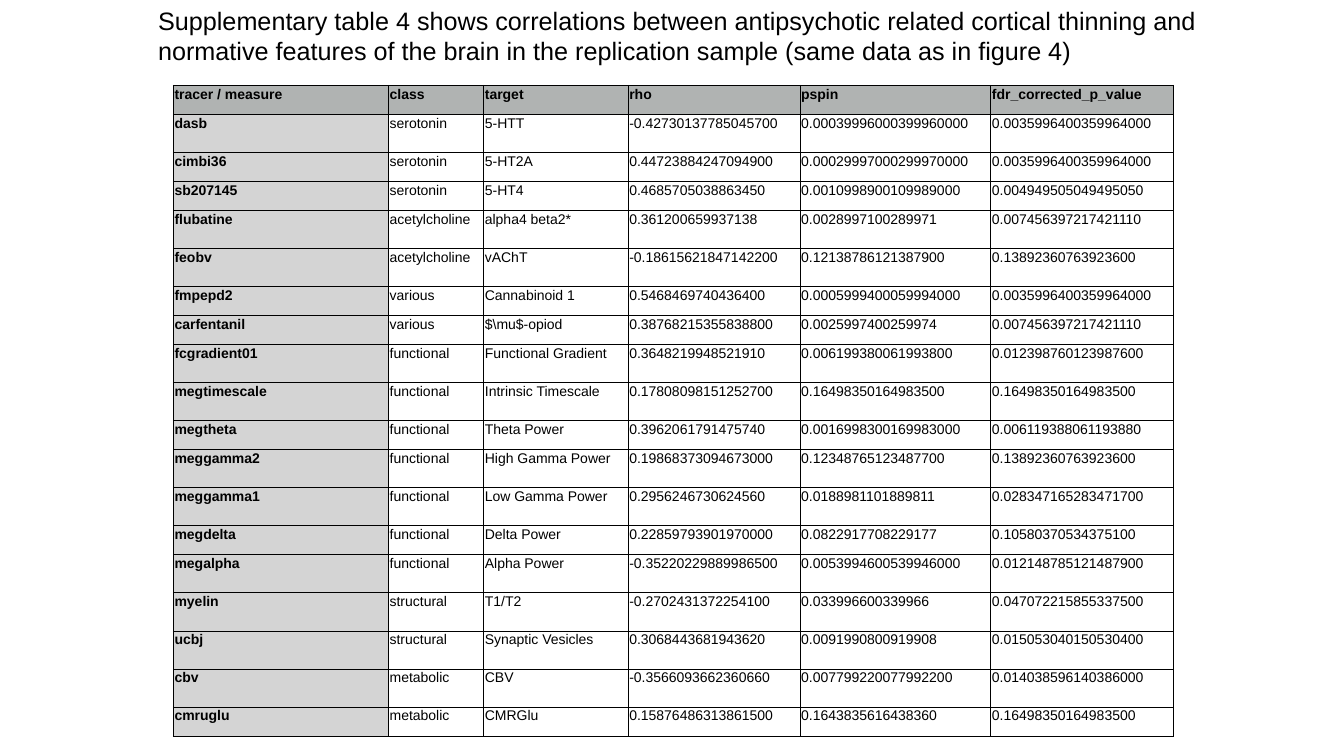
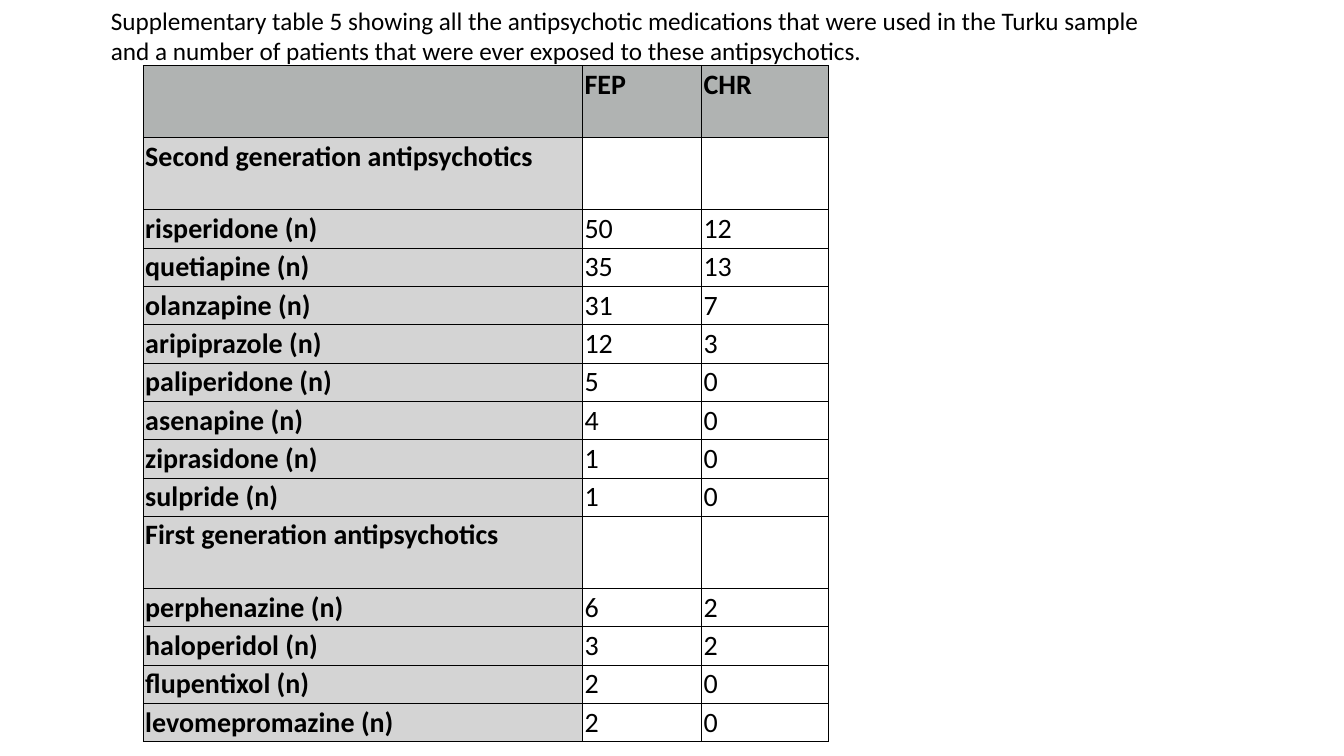
from dataclasses import dataclass

import pptx
import pptx.dml.color
import pptx.enum.text
import pptx.oxml
import pptx.oxml.ns
import pptx.util
from pptx.util import Cm

COLOURS = {"ink": "000000", "header": "B0B3B2", "label": "D4D4D4"}
TITLE_SIZE = 18
TITLE_HEIGHT = 1.8
BORDER_WIDTH = 0.75


@dataclass(frozen=True)
class TablePage:
    """One slide: a title above a table; lengths in centimetres, sizes in points."""
    title: str
    title_left: float
    title_width: float
    font: str
    text_size: float
    left: float
    top: float
    margin: float
    columns: tuple[float, ...]
    short_row: float
    tall_row: float
    tall_rows: frozenset[int]
    rows: tuple[tuple[str, ...], ...]


# Correlations in the replication sample
CORRELATIONS = (
    ("tracer / measure", "class", "target", "rho", "pspin", "fdr_corrected_p_value"),
    ("dasb", "serotonin", "5-HTT", "-0.42730137785045700",
     "0.00039996000399960000", "0.0035996400359964000"),
    ("cimbi36", "serotonin", "5-HT2A", "0.44723884247094900",
     "0.00029997000299970000", "0.0035996400359964000"),
    ("sb207145", "serotonin", "5-HT4", "0.4685705038863450",
     "0.0010998900109989000", "0.004949505049495050"),
    ("flubatine", "acetylcholine", "alpha4 beta2*", "0.361200659937138",
     "0.0028997100289971", "0.007456397217421110"),
    ("feobv", "acetylcholine", "vAChT", "-0.18615621847142200",
     "0.12138786121387900", "0.13892360763923600"),
    ("fmpepd2", "various", "Cannabinoid 1", "0.5468469740436400",
     "0.0005999400059994000", "0.0035996400359964000"),
    ("carfentanil", "various", r"$\mu$-opiod", "0.38768215355838800",
     "0.0025997400259974", "0.007456397217421110"),
    ("fcgradient01", "functional", "Functional Gradient", "0.3648219948521910",
     "0.006199380061993800", "0.012398760123987600"),
    ("megtimescale", "functional", "Intrinsic Timescale", "0.17808098151252700",
     "0.16498350164983500", "0.16498350164983500"),
    ("megtheta", "functional", "Theta Power", "0.3962061791475740",
     "0.0016998300169983000", "0.006119388061193880"),
    ("meggamma2", "functional", "High Gamma Power", "0.19868373094673000",
     "0.12348765123487700", "0.13892360763923600"),
    ("meggamma1", "functional", "Low Gamma Power", "0.2956246730624560",
     "0.0188981101889811", "0.028347165283471700"),
    ("megdelta", "functional", "Delta Power", "0.22859793901970000",
     "0.0822917708229177", "0.10580370534375100"),
    ("megalpha", "functional", "Alpha Power", "-0.35220229889986500",
     "0.0053994600539946000", "0.012148785121487900"),
    ("myelin", "structural", "T1/T2", "-0.2702431372254100",
     "0.033996600339966", "0.047072215855337500"),
    ("ucbj", "structural", "Synaptic Vesicles", "0.3068443681943620",
     "0.0091990800919908", "0.015053040150530400"),
    ("cbv", "metabolic", "CBV", "-0.3566093662360660",
     "0.007799220077992200", "0.014038596140386000"),
    ("cmruglu", "metabolic", "CMRGlu", "0.15876486313861500",
     "0.1643835616438360", "0.16498350164983500"),
)

# Patients exposed to each medication
MEDICATIONS = (
    ("", "FEP", "CHR"),
    ("Second generation antipsychotics", "", ""),
    ("risperidone (n)", "50", "12"),
    ("quetiapine (n)", "35", "13"),
    ("olanzapine (n)", "31", "7"),
    ("aripiprazole (n)", "12", "3"),
    ("paliperidone (n)", "5", "0"),
    ("asenapine (n)", "4", "0"),
    ("ziprasidone (n)", "1", "0"),
    ("sulpride (n)", "1", "0"),
    ("First generation antipsychotics", "", ""),
    ("perphenazine (n)", "6", "2"),
    ("haloperidol (n)", "3", "2"),
    ("flupentixol (n)", "2", "0"),
    ("levomepromazine (n)", "2", "0"),
)

PAGES = (
    TablePage(
        title="Supplementary table 4 shows correlations between antipsychotic related "
              "cortical thinning and normative features of the brain in the replication "
              "sample (same data as in figure 4)",
        title_left=3.73, title_width=27.08, font="Arial", text_size=10,
        left=4.37, top=2.15, margin=0.03,
        columns=(5.42, 2.4, 3.64, 4.33, 4.81, 4.6),
        short_row=0.73, tall_row=0.96,
        tall_rows=frozenset({1, 4, 5, 8, 9, 11, 12, 14, 15, 16, 17}),
        rows=CORRELATIONS,
    ),
    TablePage(
        title="Supplementary table 5 showing all the antipsychotic medications that were "
              "used in the Turku sample\nand a number of patients that were ever exposed "
              "to these antipsychotics.",
        title_left=2.54, title_width=26.9, font="Calibri", text_size=20,
        left=3.61, top=1.65, margin=0.05,
        columns=(11.07, 3, 3.2),
        short_row=0.95, tall_row=1.82,
        tall_rows=frozenset(i for i, row in enumerate(MEDICATIONS) if "" in row),
        rows=MEDICATIONS,
    ),
)


def colour(name: str) -> pptx.dml.color.RGBColor:
    return pptx.dml.color.RGBColor.from_string(COLOURS[name])


def style_text(frame, font: str, size: float, bold: bool) -> None:
    """Align every paragraph left and format its runs."""
    for paragraph in frame.paragraphs:
        paragraph.alignment = pptx.enum.text.PP_ALIGN.LEFT
        for span in paragraph.runs:
            span.font.name = font
            span.font.size = pptx.util.Pt(size)
            span.font.bold = bold
            span.font.color.rgb = colour("ink")


def add_borders(cell) -> None:
    """Draw a thin line on all four sides of a cell."""
    properties = cell._tc.get_or_add_tcPr()
    for side in ("lnL", "lnR", "lnT", "lnB"):
        properties.append(pptx.oxml.parse_xml(
            f'<a:{side} {pptx.oxml.ns.nsdecls("a")} w="{pptx.util.Pt(BORDER_WIDTH)}">'
            f'<a:solidFill><a:srgbClr val="{COLOURS["ink"]}"/></a:solidFill></a:{side}>'))


def add_title(slide, page: TablePage) -> None:
    box = slide.shapes.title
    box.left, box.top = Cm(page.title_left), Cm(0)
    box.width, box.height = Cm(page.title_width), Cm(TITLE_HEIGHT)
    frame = box.text_frame
    frame.text = page.title
    frame.word_wrap = True
    frame.auto_size = pptx.enum.text.MSO_AUTO_SIZE.NONE
    frame.vertical_anchor = pptx.enum.text.MSO_ANCHOR.TOP
    style_text(frame, page.font, TITLE_SIZE, False)


def add_grid(slide, page: TablePage) -> None:
    heights = [page.tall_row if i in page.tall_rows else page.short_row
               for i in range(len(page.rows))]
    table = slide.shapes.add_table(
        len(page.rows), len(page.columns), Cm(page.left), Cm(page.top),
        Cm(sum(page.columns)), Cm(sum(heights))).table
    table.horz_banding = False
    for column, width in zip(table.columns, page.columns):
        column.width = Cm(width)
    for row, height in zip(table.rows, heights):
        row.height = Cm(height)

    for i, values in enumerate(page.rows):
        for j, value in enumerate(values):
            cell = table.cell(i, j)
            cell.margin_left = cell.margin_right = Cm(page.margin)
            cell.margin_top = cell.margin_bottom = Cm(page.margin)
            cell.vertical_anchor = pptx.enum.text.MSO_ANCHOR.TOP
            add_borders(cell)
            if i == 0 or j == 0:
                cell.fill.solid()
                cell.fill.fore_color.rgb = colour("header" if i == 0 else "label")
            else:
                cell.fill.background()
            if value:
                cell.text_frame.text = value
                style_text(cell.text_frame, page.font, page.text_size, i == 0 or j == 0)


def main() -> None:
    deck = pptx.Presentation()
    deck.slide_width, deck.slide_height = Cm(33.87), Cm(19.05)
    title_only = deck.slide_layouts[5]
    for page in PAGES:
        slide = deck.slides.add_slide(title_only)
        add_title(slide, page)
        add_grid(slide, page)
    deck.save("out.pptx")


if __name__ == "__main__":
    main()
